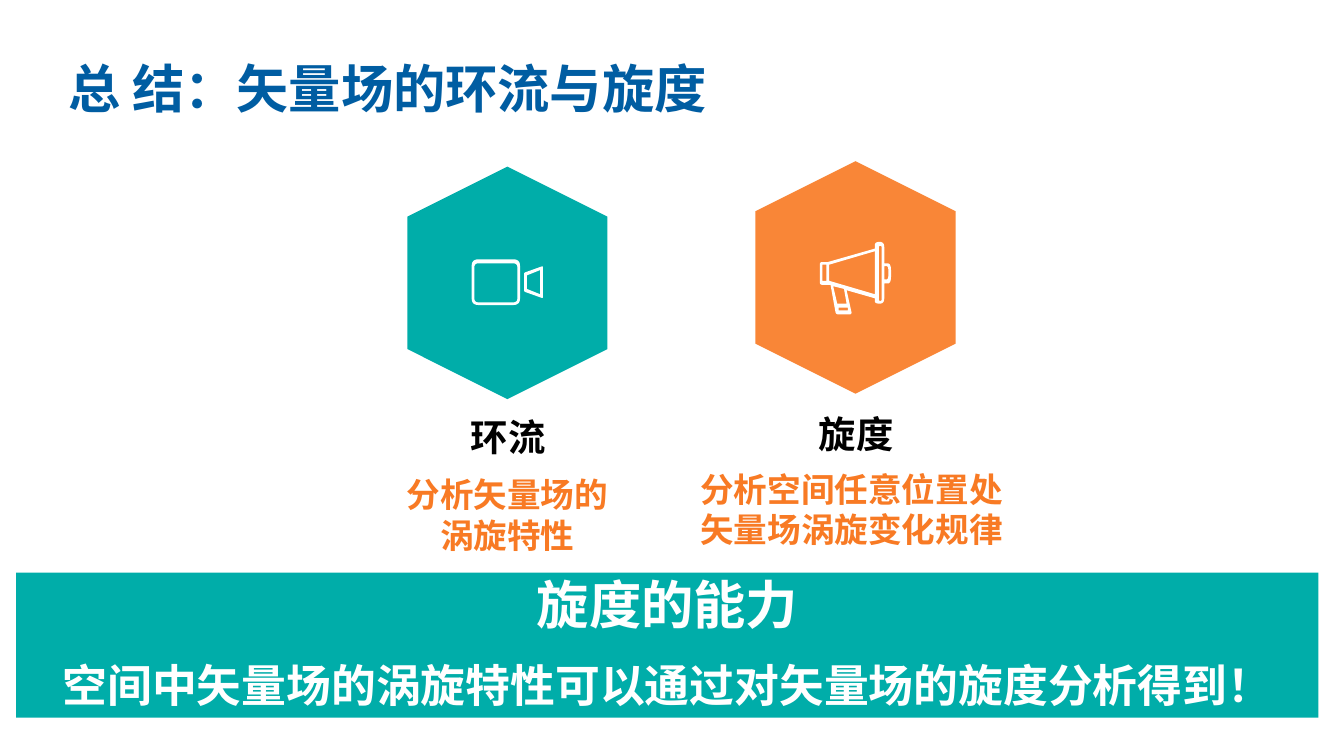
from lxml import etree
from pptx import Presentation
from pptx import util as u
from pptx.dml.color import RGBColor
from pptx.enum import shapes, text
from pptx.oxml.ns import qn

TEAL, WHITE = "00ADA9", "FFFFFF"
FONT = "Noto Sans CJK SC"
STEPS = 6


def color(code):
    return RGBColor.from_string(code)


def write(frame, lines, size=18, ink="000000", align="CENTER",
          anchor="TOP", pad=(0.1, 0.05), wrap=True, gap=0):
    """Fill a text frame; each line is a string or a (string, size) pair."""
    frame.word_wrap = wrap
    frame.vertical_anchor = getattr(text.MSO_ANCHOR, anchor)
    frame.margin_left = frame.margin_right = u.Inches(pad[0])
    frame.margin_top = frame.margin_bottom = u.Inches(pad[1])
    for i, line in enumerate(lines):
        words, pts = line if isinstance(line, tuple) else (line, size)
        para = frame.add_paragraph() if i else frame.paragraphs[0]
        para.alignment = getattr(text.PP_ALIGN, align)
        if i:
            para.space_before = u.Pt(gap)
        run = para.add_run()
        run.text = words
        font = run.font
        font.size, font.bold, font.name = u.Pt(pts), True, FONT
        font.color.rgb = color(ink)
        east = etree.SubElement(run._r.get_or_add_rPr(), qn("a:ea"))
        east.set("typeface", FONT)


def box(left, top, right, bottom, r=0):
    return [(left, top, r), (right, top, r), (right, bottom, r), (left, bottom, r)]


def bend(ring):
    """Turn corners (x, y[, radius]) into points along rounded corners."""
    points = []
    for i, (x, y, *rest) in enumerate(ring):
        r = rest[0] if rest else 0
        if not r:
            points.append((x, y))
            continue
        ends = []
        for px, py, *_ in (ring[i - 1], ring[(i + 1) % len(ring)]):
            span = ((px - x) ** 2 + (py - y) ** 2) ** 0.5
            part = min(r / span, 0.5)
            ends.append((x + (px - x) * part, y + (py - y) * part))
        (ax, ay), (bx, by) = ends
        for k in range(STEPS + 1):
            t = k / STEPS
            a, c, b = (1 - t) ** 2, 2 * t * (1 - t), t * t
            points.append((a * ax + c * x + b * bx, a * ay + c * y + b * by))
    return [(u.Inches(x), u.Inches(y)) for x, y in points]


class Deck:
    def __init__(self):
        self.prs = Presentation()
        self.prs.slide_width = u.Inches(10)
        self.prs.slide_height = u.Inches(10 * 9 / 16)
        self.slide = self.prs.slides.add_slide(self.prs.slide_layouts[6])

    def paint(self, shape, fill):
        shape.shadow.inherit = False
        shape.fill.solid()
        shape.fill.fore_color.rgb = color(fill)
        shape.line.fill.background()
        return shape

    def label(self, at, lines, **style):
        area = self.slide.shapes.add_textbox(*map(u.Inches, at))
        write(area.text_frame, lines, **style)

    def shape(self, kind, at, fill):
        item = self.slide.shapes.add_shape(kind, *map(u.Inches, at))
        return self.paint(item, fill)

    def icon(self, rings):
        build = None
        for ring in rings:
            (x, y), *rest = bend(ring)
            if build is None:
                build = self.slide.shapes.build_freeform(x, y)
            else:
                build.move_to(x, y)
            build.add_line_segments(rest, close=True)
        self.paint(build.convert_to_shape(), WHITE)

    def topic(self, left, top, fill, rings, name, name_top):
        hexagon = self.shape(shapes.MSO_SHAPE.HEXAGON, (left, top, 1.73, 1.49), fill)
        hexagon.rotation = 90
        self.icon(rings)
        self.label((left + 0.51, name_top, 0.72, 0.41), [name], size=20,
                   anchor="MIDDLE", pad=(0.07, 0.04), wrap=False)


# Icon outlines: outer rings, then the openings inside them
CAMERA = [
    box(3.51, 1.93, 3.87, 2.27, 0.05),
    box(3.53, 1.96, 3.85, 2.25, 0.03),
    [(3.9, 2.03, 0.01), (4.04, 1.98, 0.01), (4.04, 2.22, 0.01), (3.9, 2.17, 0.01)],
    [(3.92, 2.05), (4.02, 2.01), (4.02, 2.19), (3.92, 2.15)],
]
HORN = [
    [(6.1, 1.95, 0.02), (6.16, 1.95), (6.51, 1.85), (6.51, 1.8, 0.04),
     (6.58, 1.8, 0.04), (6.58, 1.96), (6.63, 1.96, 0.05), (6.63, 2.11, 0.05),
     (6.58, 2.11), (6.58, 2.26, 0.04), (6.51, 2.26, 0.04), (6.51, 2.22),
     (6.3, 2.16), (6.34, 2.34, 0.02), (6.22, 2.34, 0.02), (6.18, 2.12),
     (6.1, 2.12, 0.02)],
    [(6.58, 1.98), (6.61, 1.98, 0.03), (6.61, 2.08, 0.03), (6.58, 2.08)],
    box(6.54, 1.83, 6.56, 2.24, 0.01),
    [(6.17, 1.97), (6.51, 1.87), (6.51, 2.19), (6.17, 2.09)],
    [(6.2, 2.13), (6.28, 2.15), (6.3, 2.26), (6.23, 2.26)],
    [(6.24, 2.29), (6.31, 2.29), (6.31, 2.31), (6.24, 2.31)],
    box(6.12, 1.97, 6.15, 2.09),
]


def main():
    deck = Deck()

    # Title
    deck.label((0.41, 0.38, 6.87, 0.54), ["总 结：矢量场的环流与旋度"],
               size=28, ink="005DA2", align="LEFT", anchor="MIDDLE")

    # Descriptions
    for at, words in (((2.87, 3.48, 1.81, 0.71), "分析矢量场的涡旋特性"),
                      ((5.07, 3.44, 2.53, 0.71), "分析空间任意位置处矢量场涡旋变化规律")):
        deck.label(at, [words], ink="F87A24")

    # Conclusion band
    band = deck.shape(shapes.MSO_SHAPE.RECTANGLE, (0.12, 4.26, 9.69, 1.08), TEAL)
    write(band.text_frame,
          [("旋度的能力", 28), ("空间中矢量场的涡旋特性可以通过对矢量场的旋度分析得到！", 24)],
          ink=WHITE, pad=(0, 0), gap=12)

    # Topics
    deck.topic(2.91, 1.36, TEAL, CAMERA, "环流", 3.04)
    deck.topic(5.5, 1.32, "F98637", HORN, "旋度", 3.02)

    deck.prs.save("out.pptx")


if __name__ == "__main__":
    main()
